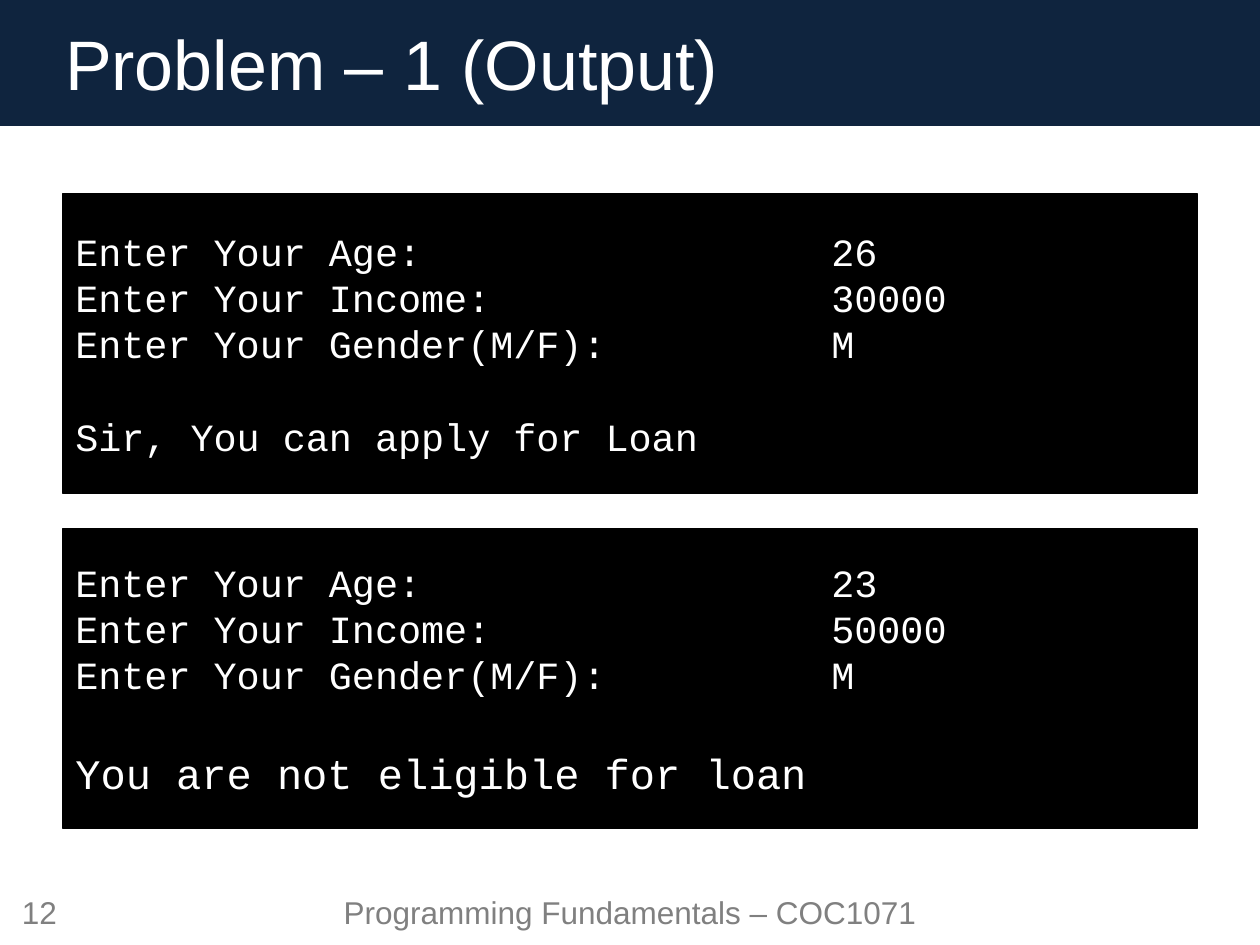
from pptx import Presentation
from pptx.dml.color import RGBColor
from pptx.enum.shapes import MSO_SHAPE
from pptx.enum.text import MSO_ANCHOR, MSO_AUTO_SIZE, PP_ALIGN
from pptx.oxml.ns import qn
from pptx.util import Pt

RECT = MSO_SHAPE.RECTANGLE
MIDDLE = MSO_ANCHOR.MIDDLE
LEFT, CENTER = PP_ALIGN.LEFT, PP_ALIGN.CENTER
TITLE_ONLY = 5

NAVY = RGBColor(0x0F, 0x24, 0x3E)
BLACK = RGBColor(0, 0, 0)
WHITE = RGBColor(0xFF, 0xFF, 0xFF)
GRAY = RGBColor(0x80, 0x80, 0x80)

BODY_FONT, CODE_FONT = "Arial", "Courier New"
CODE_SIZE = 22
LINE_FACTOR = 1.2
ANSWER_TAB = 432
PROMPTS = ["Enter Your Age:", "Enter Your Income:", "Enter Your Gender(M/F):"]


def format_paragraph(p, font, size, color, align):
    p.alignment = align
    p.font.name = font
    p.font.size = Pt(size)
    p.font.color.rgb = color


def add_rect(s, x, y, w, h, color):
    sp = s.shapes.add_shape(RECT, Pt(x), Pt(y), Pt(w), Pt(h))
    sp.shadow.inherit = False
    sp.fill.solid()
    sp.fill.fore_color.rgb = color
    sp.line.fill.background()
    return sp


def add_title(s, text):
    """Fill in the title over a full-width band."""
    title = s.shapes.title
    band = add_rect(s, 0, 0, 720, 72, NAVY)
    title._element.addprevious(band._element)
    title.left, title.top, title.width, title.height = Pt(30), Pt(0), Pt(660), Pt(72)
    title.fill.solid()
    title.fill.fore_color.rgb = NAVY
    tf = title.text_frame
    tf.text = text
    tf.auto_size = MSO_AUTO_SIZE.NONE
    tf.vertical_anchor = MIDDLE
    format_paragraph(tf.paragraphs[0], BODY_FONT, 40, WHITE, LEFT)


def add_tab_stop(p, position):
    tabs = p._p.get_or_add_pPr().makeelement(qn("a:tabLst"), {})
    tab = tabs.makeelement(qn("a:tab"), {"pos": str(Pt(position)), "algn": "l"})
    tabs.append(tab)
    p._p.get_or_add_pPr().append(tabs)


def add_console(s, y, answers, result, result_size):
    """Draw a program run: prompts with answers, then the result set apart."""
    sp = add_rect(s, 36, y, 648, 171.5, BLACK)
    sp.line.color.rgb = BLACK
    sp.line.width = Pt(0.75)
    tf = sp.text_frame
    tf.word_wrap = True
    tf.vertical_anchor = MIDDLE
    lines = [f"{prompt}\t{answer}" for prompt, answer in zip(PROMPTS, answers)]
    tf.text = "\n".join(lines + [result])
    for p in tf.paragraphs:
        is_result = p.text == result
        size = result_size if is_result else CODE_SIZE
        if not is_result:
            add_tab_stop(p, ANSWER_TAB)
        format_paragraph(p, CODE_FONT, size, WHITE, LEFT)
        p.line_spacing = Pt(size * LINE_FACTOR)
        if is_result:
            p.space_before = Pt(size * LINE_FACTOR)


def add_footer(s, x, w, text):
    tf = s.shapes.add_textbox(Pt(x), Pt(504), Pt(w), Pt(34)).text_frame
    tf.word_wrap = True
    tf.vertical_anchor = MIDDLE
    tf.text = text
    format_paragraph(tf.paragraphs[0], BODY_FONT, 18, GRAY, CENTER)


def main():
    prs = Presentation()
    prs.slide_width, prs.slide_height = Pt(720), Pt(540)
    s = prs.slides.add_slide(prs.slide_layouts[TITLE_ONLY])
    add_title(s, "Problem – 1 (Output)")
    add_console(s, 110.5, ["26", "30000", "M"], "Sir, You can apply for Loan", 22)
    add_footer(s, 162, 396, "Programming Fundamentals – COC1071")
    add_footer(s, 0, 45, "12")
    add_console(s, 302, ["23", "50000", "M"], "You are not eligible for loan", 24)
    prs.save("out.pptx")


if __name__ == "__main__":
    main()
